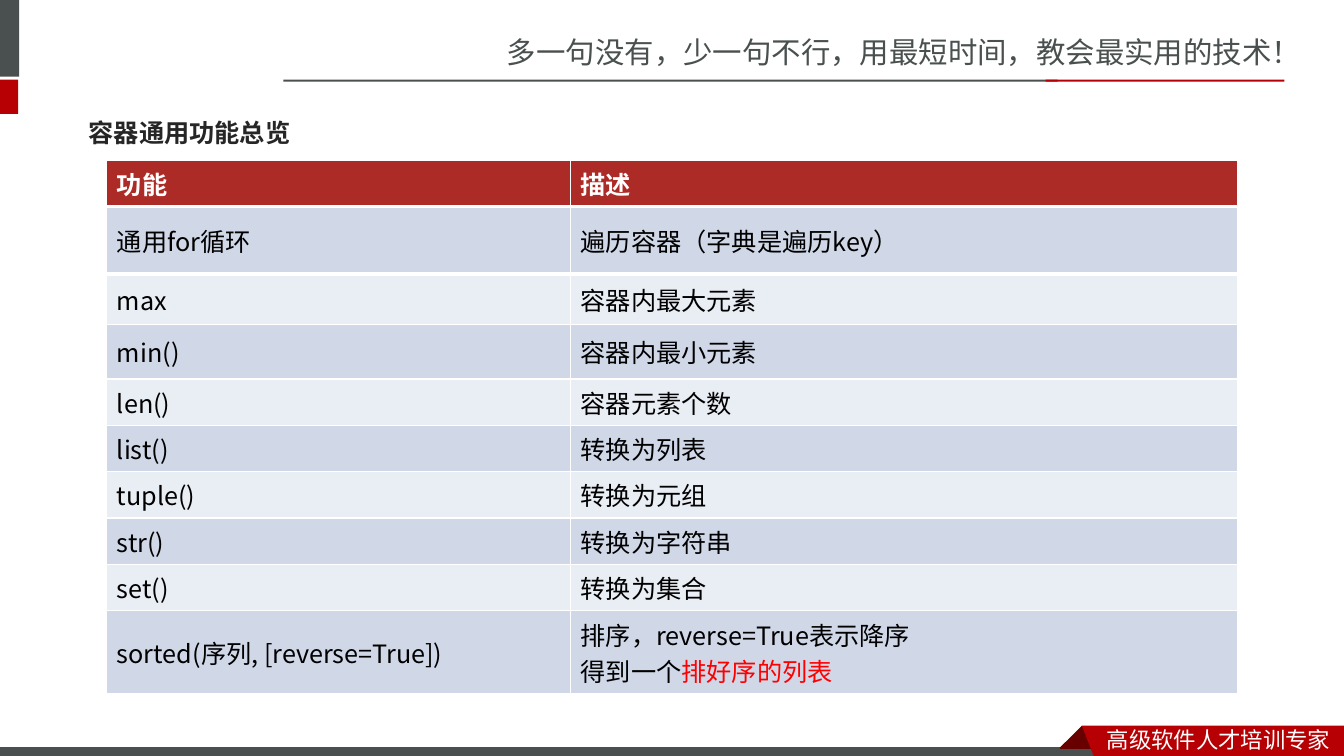
from lxml.etree import Element, SubElement
from pptx import Presentation
from pptx.dml.color import RGBColor
from pptx.enum.shapes import MSO_SHAPE
from pptx.enum.text import MSO_ANCHOR, PP_ALIGN
from pptx.oxml.ns import qn
from pptx.util import Inches, Pt

COLORS = {
    "gray": "49504F", "red": "B60004", "dark_red": "680000", "white": "FFFFFF",
    "title": "262626", "header": "AD2B26", "band_dark": "D0D8E8",
    "band_light": "E9EDF4", "black": "000000", "highlight": "FF0000",
}


def style_run(run, size, color, font_name="Noto Sans CJK JP", bold=False):
    run.font.size = Pt(size)
    run.font.bold = bold
    run.font.name = font_name
    run.font.color.rgb = RGBColor.from_string(COLORS[color])
    SubElement(run.font._element, qn("a:ea")).set("typeface", font_name)


def paint(shape, color):
    shape.shadow.inherit = False
    shape.fill.solid()
    shape.fill.fore_color.rgb = RGBColor.from_string(COLORS[color])
    shape.line.fill.background()


presentation = Presentation()
presentation.slide_width = Inches(13.33)
presentation.slide_height = Inches(7.5)
slide = presentation.slides.add_slide(presentation.slide_layouts[5])

bars = [
    (-0.06, 0, 0.25, 0.76, "gray"),
    (-0.06, 0.79, 0.24, 0.34, "red"),
    (2.81, 0.79, 7.68, 0.02, "gray"),
    (10.37, 0.79, 2.37, 0.02, "red"),
    (-0.01, 7.41, 11, 0.12, "gray"),
]
for left, top, width, height, color in bars:
    bar = slide.shapes.add_shape(
        MSO_SHAPE.RECTANGLE, Inches(left), Inches(top), Inches(width), Inches(height))
    paint(bar, color)
bar.line.color.rgb = RGBColor.from_string(COLORS["white"])
bar.line.width = Pt(0.75)

ribbon_parts = [
    ([(10.73, 7.2), (10.95, 7.42), (10.94, 7.43), (10.52, 7.43), (10.51, 7.42)], "dark_red"),
    ([(10.73, 7.2), (13.33, 7.2), (13.33, 7.54), (10.86, 7.53)], "red"),
]
for corners, color in ribbon_parts:
    points = [(Inches(x), Inches(y)) for x, y in corners]
    builder = slide.shapes.build_freeform(*points[0])
    builder.add_line_segments(points[1:])
    paint(builder.convert_to_shape(), color)

captions = [
    (4.93, 0.29, 8.41, 0.47, "多一句没有，少一句不行，用最短时间，教会最实用的技术！", 21, "gray"),
    (10.88, 7.15, 2.45, 0.37, "高级软件人才培训专家", 16, "white"),
]
for left, top, width, height, text, size, color in captions:
    caption = slide.shapes.add_textbox(
        Inches(left), Inches(top), Inches(width), Inches(height))
    caption.text_frame.text = text
    style_run(caption.text_frame.paragraphs[0].runs[0], size, color, "Noto Sans CJK SC")

title = slide.shapes.title
title.left, title.top = Inches(0.78), Inches(1.03)
title.width, title.height = Inches(11.7), Inches(0.57)
title.text_frame.text = "容器通用功能总览"
title.text_frame.vertical_anchor = MSO_ANCHOR.MIDDLE
title.text_frame.paragraphs[0].alignment = PP_ALIGN.LEFT
style_run(title.text_frame.paragraphs[0].runs[0], 18, "title", bold=True)

functions = [
    ("功能", "描述", 0.46),
    ("通用for循环", "遍历容器（字典是遍历key）", 0.67),
    ("max", "容器内最大元素", 0.5),
    ("min()", "容器内最小元素", 0.54),
    ("len()", "容器元素个数", 0.46),
    ("list()", "转换为列表", 0.46),
    ("tuple()", "转换为元组", 0.46),
    ("str()", "转换为字符串", 0.46),
    ("set()", "转换为集合", 0.46),
    ("sorted(序列, [reverse=True])", "排序，reverse=True表示降序\n得到一个", 0.82),
]
table = slide.shapes.add_table(
    len(functions), 2, Inches(1.06), Inches(1.59), Inches(11.22),
    Inches(sum(height for *texts, height in functions))).table
table.columns[0].width = Inches(4.6)
table.columns[1].width = Inches(6.62)

for row_index, (*texts, height) in enumerate(functions):
    is_header = row_index == 0
    band = "band_dark" if row_index % 2 else "band_light"
    table.rows[row_index].height = Inches(height)
    for cell, text in zip(table.rows[row_index].cells, texts):
        cell.text_frame.text = text
        cell.vertical_anchor = MSO_ANCHOR.MIDDLE
        cell.fill.solid()
        cell.fill.fore_color.rgb = RGBColor.from_string(
            COLORS["header" if is_header else band])
        for paragraph in cell.text_frame.paragraphs:
            style_run(paragraph.runs[0], 18, "white" if is_header else "black", bold=is_header)

for row_index, edge in ((0, "a:lnB"), (1, "a:lnT")):
    for cell in table.rows[row_index].cells:
        border = Element(qn(edge), w=str(Pt(3)))
        border_fill = SubElement(border, qn("a:solidFill"))
        SubElement(border_fill, qn("a:srgbClr")).set("val", COLORS["white"])
        cell._tc.get_or_add_tcPr().insert(0, border)

sorted_result = table.cell(len(functions) - 1, 1).text_frame.paragraphs[-1].add_run()
sorted_result.text = "排好序的列表"
style_run(sorted_result, 18, "highlight")

presentation.save("out.pptx")
